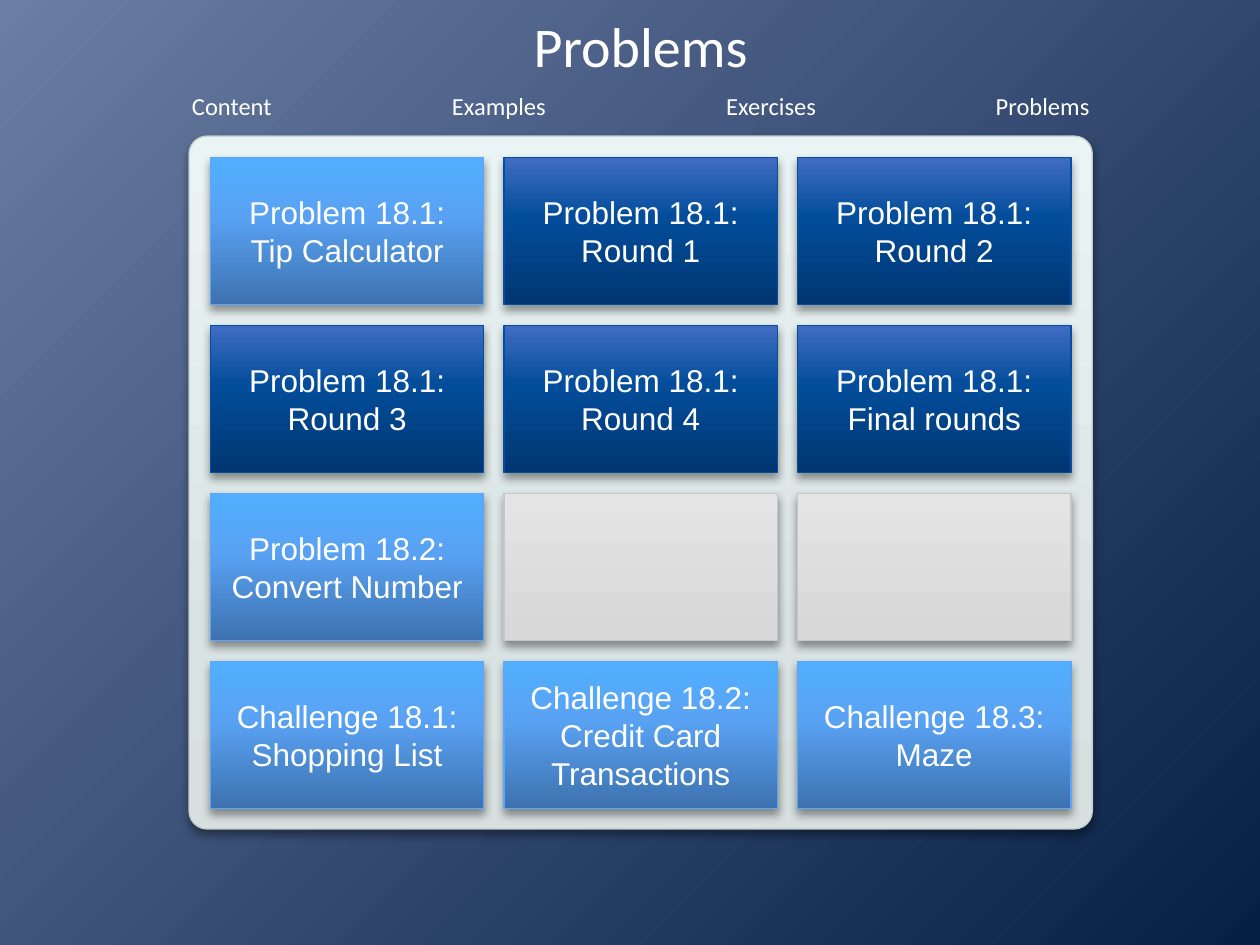
from dataclasses import dataclass

from lxml import etree
from pptx import Presentation
from pptx.dml.color import RGBColor
from pptx.enum import shapes, text
from pptx.oxml import ns
from pptx.util import Inches, Pt


@dataclass(frozen=True)
class Finish:
    stops: tuple[tuple[int, str], ...]
    outline: str = "C1C9C9"


@dataclass(frozen=True)
class Theme:
    ink: str = "FFFFFF"
    shade: str = "000000"
    heading_font: str = "Calibri"
    card_font: str = "Arial"
    title_size: int = 32
    label_size: int = 14
    card_size: int = 18
    backdrop: tuple = ((0, "6A7DA4"), (100, "071F45"))
    panel: Finish = Finish(((0, "D7DFDF"), (25, "DAE3E3"), (100, "EBF4F4")))
    empty: Finish = Finish(((0, "D8D8D8"), (1, "D8D8D8"), (100, "E4E4E4")))
    light: Finish = Finish(((0, "3D72AF"), (60, "59A2F3"), (100, "52AFFF")), "5BA6FA")
    dark: Finish = Finish(((0, "003671"), (60, "034D9B"), (100, "406DC3")), "034EA0")


@dataclass(frozen=True)
class Card:
    finish: Finish
    heading: str = ""
    topic: str = ""


@dataclass(frozen=True)
class Label:
    caption: str
    width: float


THEME = Theme()
COLUMNS = 3
CARD_WIDTH, CARD_HEIGHT = 2.17, 1.17
GRID_LEFT, GRID_TOP = 1.67, 1.25
COLUMN_STEP, ROW_STEP = 2.33, 1.333
LABEL_LEFT, LABEL_TOP, LABEL_HEIGHT, LABEL_GAP = 1.42, 0.67, 0.34, 1.22

LABELS = (
    Label("Content", 0.84),
    Label("Examples", 0.96),
    Label("Exercises", 0.92),
    Label("Problems", 0.95),
)
CARDS = (
    Card(THEME.light, "Problem 18.1:", "Tip Calculator"),
    Card(THEME.dark, "Problem 18.1:", "Round 1"),
    Card(THEME.dark, "Problem 18.1:", "Round 2"),
    Card(THEME.dark, "Problem 18.1:", "Round 3"),
    Card(THEME.dark, "Problem 18.1:", "Round 4"),
    Card(THEME.dark, "Problem 18.1:", "Final rounds"),
    Card(THEME.light, "Problem 18.2:", "Convert Number"),
    Card(THEME.empty),
    Card(THEME.empty),
    Card(THEME.light, "Challenge 18.1:", "Shopping List"),
    Card(THEME.light, "Challenge 18.2:", "Credit Card Transactions"),
    Card(THEME.light, "Challenge 18.3:", "Maze"),
)


def add_node(parent, tag: str, **attributes):
    return etree.SubElement(parent, ns.qn(tag), attributes)


def apply_gradient(owner, stops: tuple, radial: bool = False) -> None:
    solid = owner.find(ns.qn("a:solidFill"))
    gradient = etree.Element(ns.qn("a:gradFill"), rotWithShape="1")
    stop_list = add_node(gradient, "a:gsLst")
    for position, color in stops:
        stop = add_node(stop_list, "a:gs", pos=str(position * 1000))
        add_node(stop, "a:srgbClr", val=color)
    if radial:
        circle = add_node(gradient, "a:path", path="circle")
        add_node(circle, "a:fillToRect", r="100000", b="100000")
    else:
        add_node(gradient, "a:lin", ang="16200000", scaled="0")
    owner.replace(solid, gradient)


def add_shadow(shape) -> None:
    shape.shadow.inherit = False
    effects = shape.element.spPr.find(ns.qn("a:effectLst"))
    shadow = add_node(effects, "a:outerShdw", blurRad=str(Pt(5.2)), dist=str(Pt(3)),
                      dir="5400000", rotWithShape="0")
    color = add_node(shadow, "a:srgbClr", val=THEME.shade)
    add_node(color, "a:alpha", val="40000")


def add_block(slide, kind, left: float, top: float, width: float, height: float,
              finish: Finish):
    block = slide.shapes.add_shape(kind, Inches(left), Inches(top),
                                   Inches(width), Inches(height))
    block.fill.solid()
    apply_gradient(block.element.spPr, finish.stops)
    block.line.color.rgb = RGBColor.from_string(finish.outline)
    block.line.width = Pt(0.75)
    add_shadow(block)
    return block


def write(frame, lines: tuple[str, ...], font: str, size: int) -> None:
    paragraph = frame.paragraphs[0]
    paragraph.alignment = text.PP_ALIGN.CENTER
    for index, line in enumerate(lines):
        if index:
            paragraph.add_line_break()
        run = paragraph.add_run()
        run.text = line
        run.font.name = font
        run.font.size = Pt(size)
        run.font.color.rgb = RGBColor.from_string(THEME.ink)


def add_title(slide, caption: str) -> None:
    title = slide.shapes.title
    title.left, title.top = Inches(1.5), Inches(0.11)
    title.width, title.height = Inches(7.17), Inches(0.5)
    frame = title.text_frame
    frame.margin_left = frame.margin_right = frame.margin_top = frame.margin_bottom = 0
    frame.vertical_anchor = text.MSO_ANCHOR.MIDDLE
    frame.auto_size = text.MSO_AUTO_SIZE.NONE
    write(frame, (caption,), THEME.heading_font, THEME.title_size)


def add_labels(slide, labels: tuple[Label, ...]) -> None:
    left = LABEL_LEFT
    for label in labels:
        box = slide.shapes.add_textbox(Inches(left), Inches(LABEL_TOP),
                                       Inches(label.width), Inches(LABEL_HEIGHT))
        box.text_frame.word_wrap = False
        box.text_frame.auto_size = text.MSO_AUTO_SIZE.SHAPE_TO_FIT_TEXT
        write(box.text_frame, (label.caption,), THEME.heading_font, THEME.label_size)
        left += label.width + LABEL_GAP


def add_cards(slide, cards: tuple[Card, ...]) -> None:
    for index, card in enumerate(cards):
        row, column = divmod(index, COLUMNS)
        block = add_block(slide, shapes.MSO_SHAPE.RECTANGLE,
                          GRID_LEFT + column * COLUMN_STEP, GRID_TOP + row * ROW_STEP,
                          CARD_WIDTH, CARD_HEIGHT, card.finish)
        if card.heading:
            block.text_frame.word_wrap = True
            block.text_frame.vertical_anchor = text.MSO_ANCHOR.MIDDLE
            write(block.text_frame, (card.heading, card.topic),
                  THEME.card_font, THEME.card_size)


def main() -> None:
    deck = Presentation()
    deck.slide_width, deck.slide_height = Inches(10), Inches(7.5)
    slide = deck.slides.add_slide(deck.slide_layouts.get_by_name("Title Only"))
    slide.background.fill.solid()
    backdrop = next(slide.element.iter(ns.qn("p:bgPr")))
    apply_gradient(backdrop, THEME.backdrop, radial=True)
    add_title(slide, "Problems")
    panel = add_block(slide, shapes.MSO_SHAPE.ROUNDED_RECTANGLE,
                      1.5, 1.08, 7.17, 5.5, THEME.panel)
    panel.adjustments[0] = 0.026
    add_labels(slide, LABELS)
    add_cards(slide, CARDS)
    deck.save("out.pptx")


if __name__ == "__main__":
    main()
